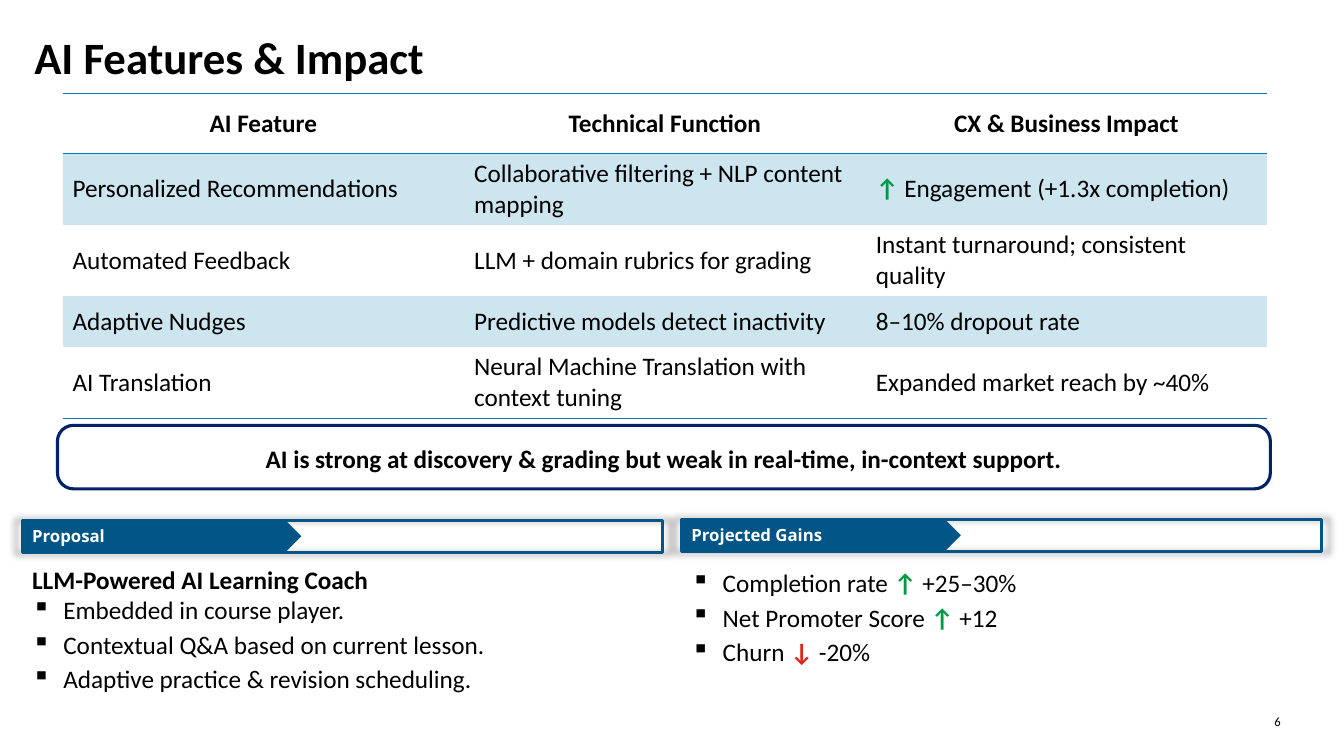
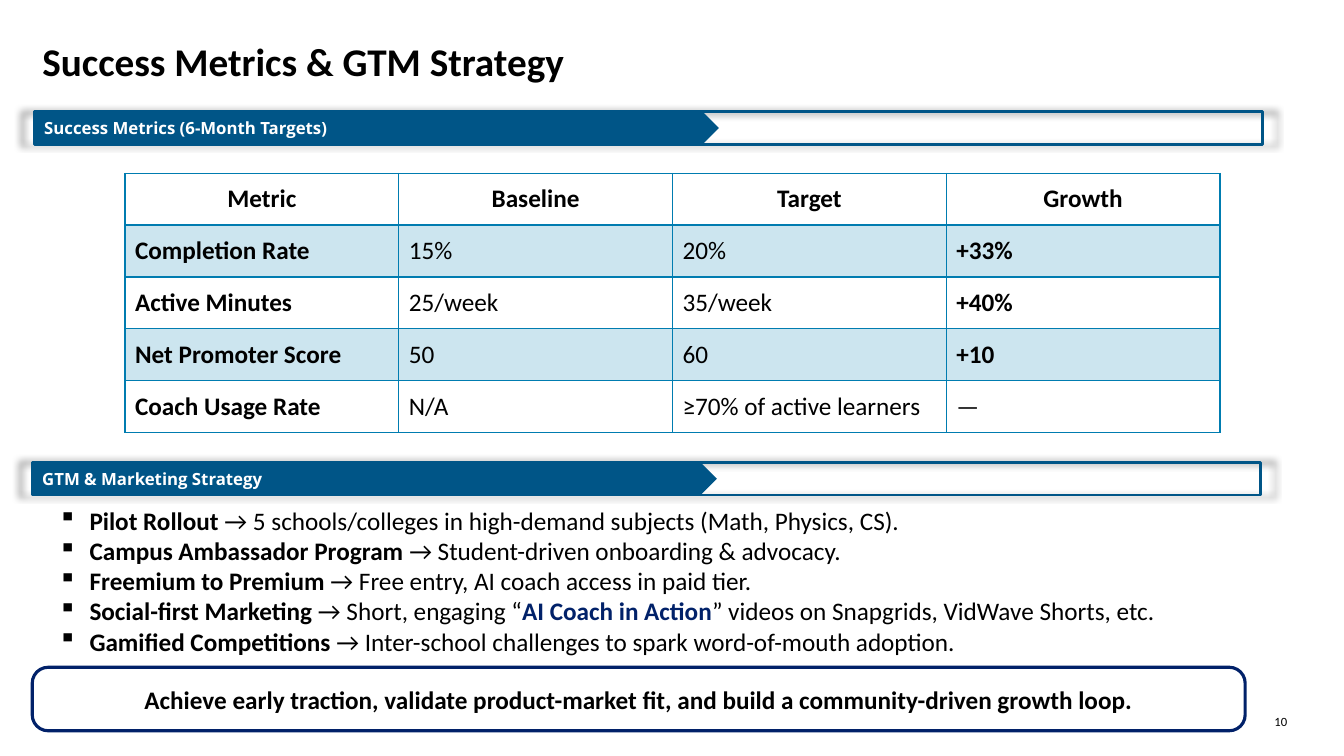
from lxml import etree
from pptx import Presentation
from pptx.dml.color import RGBColor
from pptx.enum.shapes import MSO_SHAPE
from pptx.enum.text import MSO_ANCHOR, MSO_AUTO_SIZE, PP_ALIGN
from pptx.oxml.ns import qn
from pptx.util import Inches, Pt

RECT, ROUND, PLATE = MSO_SHAPE.RECTANGLE, MSO_SHAPE.ROUNDED_RECTANGLE, MSO_SHAPE.PENTAGON
MIDDLE, FIXED = MSO_ANCHOR.MIDDLE, MSO_AUTO_SIZE.NONE
LEFT, CENTER = PP_ALIGN.LEFT, PP_ALIGN.CENTER
COLORS = {
    "black": "000000", "white": "FFFFFF", "band": "005587", "navy": "012169",
    "rule": "007CB0", "tint": "CCE5EF", "green": "009A44", "red": "DA291C",
}
BODY, LABEL = "Calibri", "Open Sans"
NO_STYLE = "{2D5ABB26-0587-4C30-8999-92F81FD0307C}"


def rgb(name):
    return RGBColor.from_string(COLORS[name])


def bold(text, color="black"):
    return text, color, True


UP, DOWN = bold("↑", "green"), bold("↓", "red")


def write(para, runs, size=18, face=BODY, align=LEFT):
    """Add runs to a paragraph; a run is a plain string or a bold() result."""
    para.alignment = align
    for item in runs:
        text, color, heavy = (item, "black", False) if isinstance(item, str) else item
        run = para.add_run()
        run.text = text
        font = run.font
        font.name, font.size, font.bold = face, Pt(size), heavy
        font.color.rgb = rgb(color)


def bullet(para):
    props = para._p.get_or_add_pPr()
    props.set("marL", str(Inches(0.31)))
    props.set("indent", str(-Inches(0.31)))
    etree.SubElement(props, qn("a:buChar")).set("char", "▪")


def inset(frame, size):
    frame.margin_left = frame.margin_right = Inches(size)
    frame.margin_top = frame.margin_bottom = Inches(size)


def place(box):
    return [Inches(value) for value in box]


def add_title(slide, left, top, text, size):
    title = slide.shapes.title
    title.left, title.top, title.width, title.height = place((left, top, 11.5, 0.66))
    frame = title.text_frame
    inset(frame, 0)
    frame.auto_size, frame.vertical_anchor = FIXED, MIDDLE
    write(frame.paragraphs[0], [bold(text)], size)


def add_number(slide, number):
    frame = slide.shapes.add_textbox(*place((12.64, 7.08, 0.15, 0.15))).text_frame
    inset(frame, 0)
    frame.word_wrap = False
    write(frame.paragraphs[0], [str(number)], 9)


def add_list(slide, box, items, head=None, after=0):
    frame = slide.shapes.add_textbox(*place(box)).text_frame
    frame.word_wrap = True
    lines = ([[bold(head)]] if head else []) + items
    for i, runs in enumerate(lines):
        para = frame.add_paragraph() if i else frame.paragraphs[0]
        if i or not head:
            bullet(para)
            para.space_after = Pt(after)
        write(para, runs)


def glow(shape):
    """Give a shape a soft shadow slightly larger than itself."""
    effects = etree.SubElement(shape._element.spPr, qn("a:effectLst"))
    shadow = etree.SubElement(effects, qn("a:outerShdw"), blurRad=str(Pt(5)), dist="0",
                              dir="0", sx="102000", sy="102000", algn="ctr", rotWithShape="0")
    color = etree.SubElement(shadow, qn("a:srgbClr"), val=COLORS["black"])
    etree.SubElement(color, qn("a:alpha"), val="40000")


def add_band(slide, left, top, width, tab, text):
    """Draw a section band with a pointed label that is tab inches wide."""
    group = slide.shapes.add_group_shape()
    bar = group.shapes.add_shape(RECT, *place((left, top, width, 0.32)))
    bar.fill.background()
    bar.line.color.rgb, bar.line.width = rgb("band"), Pt(2)
    glow(bar)
    label = group.shapes.add_shape(PLATE, *place((left, top, tab, 0.32)))
    label.shadow.inherit = False
    label.fill.solid()
    label.fill.fore_color.rgb = rgb("band")
    label.line.fill.background()
    frame = label.text_frame
    frame.vertical_anchor = MIDDLE
    write(frame.paragraphs[0], [bold(text, "white")], 12, LABEL)


def add_callout(slide, left, top, text):
    shape = slide.shapes.add_shape(ROUND, *place((left, top, 12.03, 0.63)))
    shape.adjustments[0] = 0.25
    shape.shadow.inherit = False
    shape.fill.solid()
    shape.fill.fore_color.rgb = rgb("white")
    shape.line.color.rgb, shape.line.width = rgb("navy"), Pt(2.25)
    frame = shape.text_frame
    inset(frame, 0.1)
    frame.vertical_anchor, frame.word_wrap = MIDDLE, True
    para = frame.paragraphs[0]
    para.line_spacing = 1.06
    write(para, [bold(text)], align=CENTER)


def edge(cell, sides):
    """Rule the cell; sides maps L, R, T, B (in that order) to points."""
    props = cell._tc.get_or_add_tcPr()
    for i, (side, width) in enumerate(sides.items()):
        line = etree.Element(qn("a:ln" + side), w=str(Pt(width)))
        fill = etree.SubElement(line, qn("a:solidFill"))
        etree.SubElement(fill, qn("a:srgbClr"), val=COLORS["rule"])
        props.insert(i, line)


def add_grid(slide, box, heights, rows, boxed):
    """Add a table with tinted odd rows, ruled all round if boxed."""
    count = len(rows[0])
    table = slide.shapes.add_table(len(rows), count, *place(box)).table
    table._tbl.tblPr.find(qn("a:tableStyleId")).text = NO_STYLE
    for col in table.columns:
        col.width = Inches(box[2] / count)
    last = len(rows) - 1
    for r, row in enumerate(rows):
        table.rows[r].height = Inches(heights[r])
        sides = {"L": 1, "R": 1} if boxed else {}
        if r == 0:
            sides["T"] = 1
        if boxed or r in (0, last):
            sides["B"] = 2 if boxed and r == 0 else 1
        for c, runs in enumerate(row):
            cell = table.cell(r, c)
            cell.vertical_anchor = MIDDLE
            if r % 2:
                cell.fill.solid()
                cell.fill.fore_color.rgb = rgb("tint")
            else:
                cell.fill.background()
            edge(cell, sides)
            write(cell.text_frame.paragraphs[0], runs, align=LEFT if r else CENTER)


def features(slide):
    add_title(slide, 0.34, 0.23, "AI Features & Impact", 32)
    heads = ["AI Feature", "Technical Function", "CX & Business Impact"]
    rows = [
        [[bold(head)] for head in heads],
        [["Personalized Recommendations"], ["Collaborative filtering + NLP content mapping"],
         [UP, " Engagement (+1.3x completion)"]],
        [["Automated Feedback"], ["LLM + domain rubrics for grading"],
         ["Instant turnaround; consistent quality"]],
        [["Adaptive Nudges"], ["Predictive models detect inactivity"], ["8–10% dropout rate"]],
        [["AI Translation"], ["Neural Machine Translation with context tuning"],
         ["Expanded market reach by ~40%"]],
    ]
    add_grid(slide, (0.62, 0.93, 11.95, 3.22), [0.59, 0.71, 0.71, 0.5, 0.71], rows, False)
    add_callout(slide, 0.57, 4.22,
                "AI is strong at discovery & grading but weak in real-time, in-context support.")
    add_band(slide, 0.22, 5.16, 6.35, 2.77, "Proposal")
    add_list(slide, (0.22, 5.55, 6.66, 1.4), [
        ["Embedded in course player."],
        ["Contextual Q&A based on current lesson."],
        ["Adaptive practice & revision scheduling."],
    ], "LLM-Powered AI Learning Coach", 3)
    add_band(slide, 6.76, 5.15, 6.35, 2.77, "Projected Gains")
    add_list(slide, (6.76, 5.58, 6.68, 1.09), [
        ["Completion rate ", UP, " +25–30%"],
        ["Net Promoter Score ", UP, " +12"],
        ["Churn ", DOWN, " -20%"],
    ], after=3)
    add_number(slide, 6)


def metrics(slide):
    add_title(slide, 0.42, 0.27, "Success Metrics & GTM Strategy", 28)
    add_band(slide, 0.34, 1.11, 12.18, 6.79, "Success Metrics (6-Month Targets)")
    add_band(slide, 0.32, 4.59, 12.18, 6.79, "GTM & Marketing Strategy")
    plans = [
        ("Pilot Rollout", ["5 schools/colleges in high-demand subjects (Math, Physics, CS)."]),
        ("Campus Ambassador Program", ["Student-driven onboarding & advocacy."]),
        ("Freemium to Premium", ["Free entry, AI coach access in paid tier."]),
        ("Social-first Marketing", ["Short, engaging “", bold("AI Coach in Action", "navy"),
                                    "” videos on Snapgrids, VidWave Shorts, etc."]),
        ("Gamified Competitions",
         ["Inter-school challenges to spark word-of-mouth adoption."]),
    ]
    add_list(slide, (0.48, 4.96, 11.37, 1.62),
             [[bold(name), " → " + rest[0], *rest[1:]] for name, rest in plans])
    heads = ["Metric", "Baseline", "Target", "Growth"]
    data = [
        ("Completion Rate", "15%", "20%", bold("+33%")),
        ("Active Minutes", "25/week", "35/week", bold("+40%")),
        ("Net Promoter Score", "50", "60", bold("+10")),
        ("Coach Usage Rate", "N/A", "≥70% of active learners", "—"),
    ]
    rows = [[[bold(head)] for head in heads]]
    rows += [[[bold(name)], [base], [goal], [gain]] for name, base, goal, gain in data]
    add_grid(slide, (1.24, 1.72, 10.86, 2.57), [2.57 / 5] * 5, rows, True)
    add_callout(slide, 0.32, 6.62, "Achieve early traction, validate product-market fit, "
                "and build a community-driven growth loop.")
    add_number(slide, 10)


def main():
    deck = Presentation()
    deck.slide_width, deck.slide_height = Inches(13.33), Inches(7.5)
    for build in (features, metrics):
        build(deck.slides.add_slide(deck.slide_layouts[5]))
    deck.save("out.pptx")


if __name__ == "__main__":
    main()
